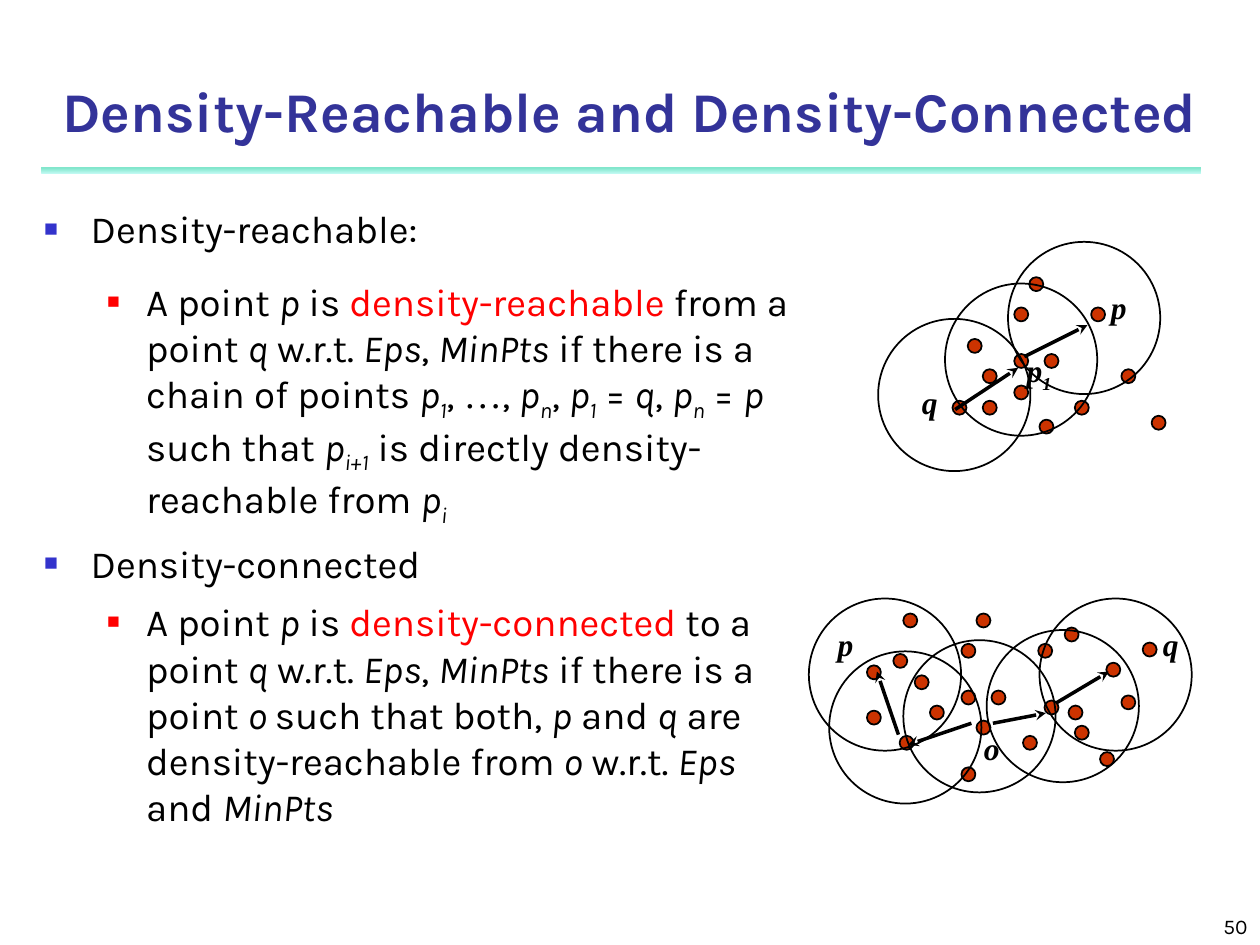
from lxml import etree
from pptx import Presentation
from pptx.dml.color import RGBColor
from pptx.enum.shapes import MSO_CONNECTOR, MSO_SHAPE
from pptx.enum.text import MSO_ANCHOR, MSO_AUTO_SIZE, PP_ALIGN
from pptx.oxml import parse_xml
from pptx.oxml.ns import nsdecls, qn
from pptx.util import Pt

C = {"title": "333399", "text": "000000", "key": "FF0000", "dot": "CC3300",
     "bullet": "3333CC", "rule_top": "00CE98", "rule_bottom": "8FF9EF"}
SANS, SERIF = "Karla", "Times New Roman"
DOT, CIRCLE = 8, 87

prs = Presentation()
prs.slide_width, prs.slide_height = Pt(720), Pt(540)
s = prs.slides.add_slide(prs.slide_layouts[1])


def add_run(p, text, color="text", sub=False, **fmt):
    r = p.add_run()
    r.text = text
    for name, value in fmt.items():
        setattr(r.font, name, value)
    r.font.color.rgb = RGBColor.from_string(C[color])
    if sub:
        r.font._element.set("baseline", "-25000")


def place(sp, left, top, width, height):
    sp.left, sp.top, sp.width, sp.height = Pt(left), Pt(top), Pt(width), Pt(height)


rule = s.shapes.add_shape(MSO_SHAPE.RECTANGLE, Pt(23.76), Pt(95.76), Pt(662.4), Pt(3.6))
rule.shadow.inherit = False
rule.line.fill.background()
rule.fill.gradient()
rule.fill.gradient_angle = 90
for stop, name in zip(rule.fill.gradient_stops, ("rule_bottom", "rule_top")):
    stop.color.rgb = RGBColor.from_string(C[name])
for color in rule._element.spPr.iter(qn("a:srgbClr")):
    etree.SubElement(color, qn("a:alpha")).set("val", "50000")

title = s.shapes.title
place(title, 0, 20.88, 720, 84.24)
tf = title.text_frame
tf.vertical_anchor = MSO_ANCHOR.MIDDLE
p = tf.paragraphs[0]
p.alignment = PP_ALIGN.CENTER
add_run(p, "Density-Reachable and Density-Connected", "title",
        name=SANS, size=Pt(32), bold=True)

STYLES = {
    "/": {"italic": True},
    "_": {"italic": True, "sub": True},
    "!": {"color": "key"},
    "~": {"name": SERIF},
}
LEVELS = [
    {"indent": 26.64, "hang": 26.64, "color": "bullet", "size": 60},
    {"indent": 58.32, "hang": 22.32, "color": "key", "size": 55},
]
PARAGRAPHS = [
    (0, 0, "Density-reachable:"),
    (1, 15, "A point |/p| is |!density-reachable| from a point |/q| w.r.t. |/Eps|, |/MinPts"
            "| if there is a chain of points |/p|_1|, |~…|, |/p|_n|, |/p|_1| = |/q|, |/p|_n"
            "| = |/p| such that |/p|_i+1| is directly density-reachable from |/p|_i"),
    (0, 7, "Density-connected"),
    (1, 7, "A point |/p| is |!density-connected| to a point |/q| w.r.t. |/Eps|, |/MinPts"
           "| if there is a point |/o |such that both, |/p| and |/q"
           "| are density-reachable from |/o| w.r.t. |/Eps| and |/MinPts"),
]
body = s.placeholders[1]
place(body, 18, 113.76, 444.24, 396)
tf = body.text_frame
tf.auto_size = MSO_AUTO_SIZE.NONE
for i, (level, before, text) in enumerate(PARAGRAPHS):
    p = tf.add_paragraph() if i else tf.paragraphs[0]
    look = LEVELS[level]
    p.level = level
    p.space_before = Pt(before)
    pPr = p._p.get_or_add_pPr()
    pPr.set("marL", str(Pt(look["indent"])))
    pPr.set("indent", str(-Pt(look["hang"])))
    for xml in (f'<a:buClr {nsdecls("a")}><a:srgbClr val="{C[look["color"]]}"/></a:buClr>',
                f'<a:buSzPct {nsdecls("a")} val="{look["size"]}000"/>',
                f'<a:buFont {nsdecls("a")} typeface="{SERIF}"/>',
                f'<a:buChar {nsdecls("a")} char="■"/>'):
        pPr.append(parse_xml(xml))
    for part in text.split("|"):
        style = STYLES.get(part[0], {})
        add_run(p, part[1:] if style else part, **{"name": SANS, "size": Pt(22), **style})

DOTS = [
    (553, 193.7), (579.6, 202.3), (579.6, 175.7), (544.3, 229), (561.6, 211),
    (561.6, 229), (594, 239.8), (588.2, 158.4), (640.8, 211), (623.5, 175.7),
    (579.6, 220.3), (596.9, 202.3), (614.2, 229), (658.1, 237.6),
    (522.7, 385.9), (549.4, 394.6), (549.4, 367.9), (514.1, 420.5), (531.4, 403.2),
    (549.4, 438.5), (558, 411.8), (558, 350.6), (610.6, 403.2), (593.3, 367.9),
    (495.4, 406.1), (566.6, 394.6), (584.6, 420.5), (628.6, 429.8), (640.8, 397.4),
    (596.9, 400.3), (614.2, 414.7), (653, 367.2), (608.4, 358.6), (632.2, 378.7),
    (510.5, 373.7), (495.4, 380.2), (516.2, 350.6),
]
CIRCLES = [
    (540, 162), (501.8, 182.2), (576, 138.2),
    (473.8, 372.2), (516.2, 365.8), (563.8, 360), (594, 342), (462.2, 342),
]
for spots, size in ((DOTS, DOT), (CIRCLES, CIRCLE)):
    for x, y in spots:
        sp = s.shapes.add_shape(MSO_SHAPE.OVAL, Pt(x), Pt(y), Pt(size), Pt(size))
        sp.shadow.inherit = False
        sp.line.color.rgb = RGBColor.from_string(C["text"])
        sp.line.width = Pt(1)
        if size == DOT:
            sp.fill.solid()
            sp.fill.fore_color.rgb = RGBColor.from_string(C["dot"])
        else:
            sp.fill.background()

ARROWS = [
    (545.8, 234, 581.8, 210.2), (585.4, 203.8, 621.4, 185.8),
    (555.1, 413.3, 519.1, 425.5), (567.4, 413.3, 597.6, 407.5),
    (513.4, 419.8, 501.1, 383.8), (603.4, 401.8, 633.6, 383.8),
]
for ends in ARROWS:
    sp = s.shapes.add_connector(MSO_CONNECTOR.STRAIGHT, *map(Pt, ends))
    sp.line.color.rgb = RGBColor.from_string(C["text"])
    sp.line.width = Pt(2)
    etree.SubElement(sp.line._get_or_add_ln(), qn("a:tailEnd")).set("type", "stealth")
    etree.SubElement(sp._element.spPr, qn("a:effectLst"))

LABELS = [
    ("p", "", 627.8, 161.3, 30), ("q", "", 519.8, 215.3, 30), ("p", "1", 579.6, 197.3, 48),
    ("p", "", 471.6, 353.5, 30), ("q", "", 657.4, 353.5, 30), ("o", "", 555.1, 413.3, 30),
]
label_font = {"name": SERIF, "size": Pt(18), "bold": True, "italic": True}
for name, index, x, y, width in LABELS:
    tf = s.shapes.add_textbox(Pt(x), Pt(y), Pt(width), Pt(28.8)).text_frame
    tf.word_wrap = True
    add_run(tf.paragraphs[0], name, **label_font)
    if index:
        add_run(tf.paragraphs[0], index, sub=True, **label_font)

tf = s.shapes.add_textbox(Pt(570), Pt(510), Pt(150), Pt(30)).text_frame
tf.word_wrap = True
tf.vertical_anchor = MSO_ANCHOR.BOTTOM
p = tf.paragraphs[0]
p.alignment = PP_ALIGN.RIGHT
add_run(p, "50", name=SANS, size=Pt(12))

prs.save("out.pptx")
